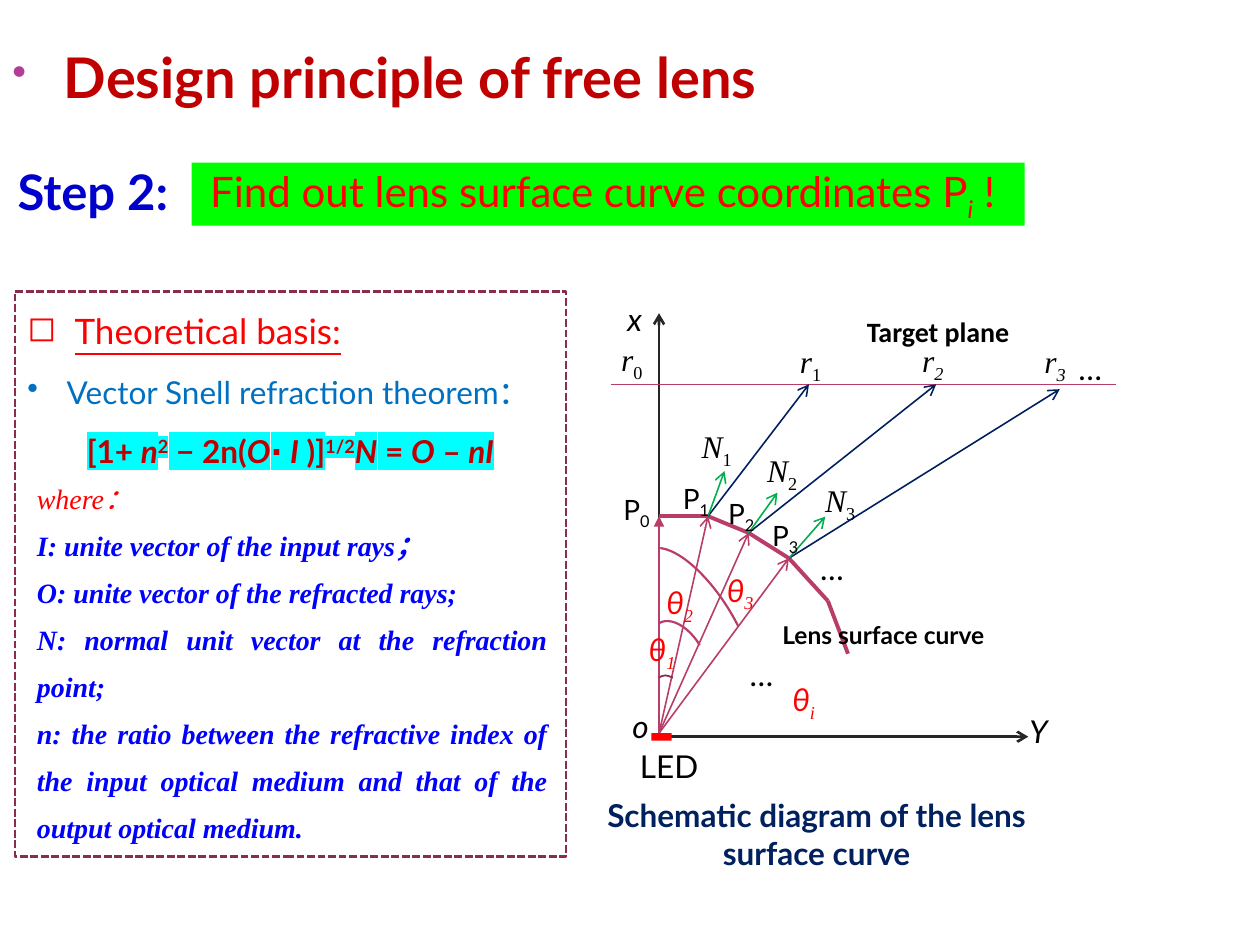
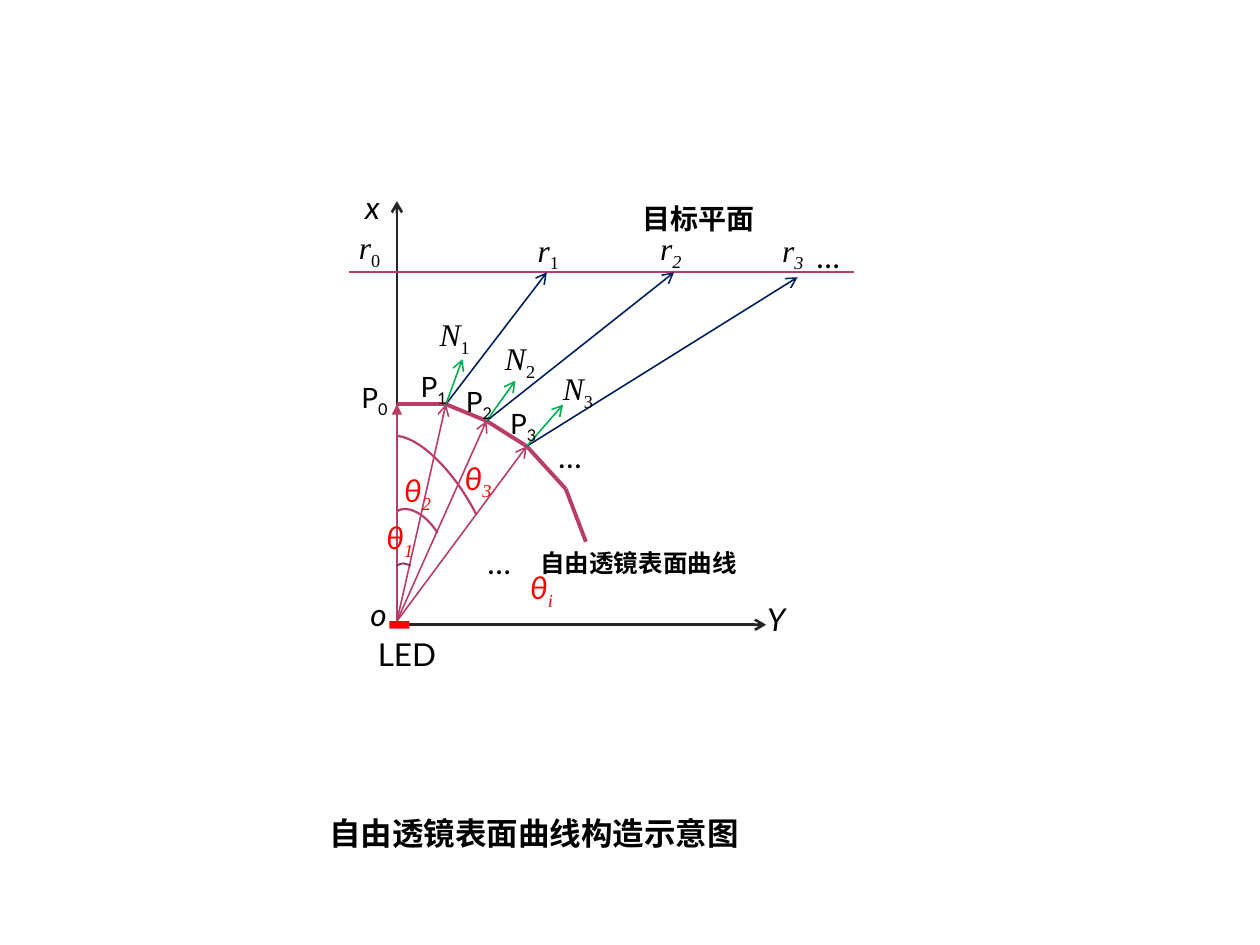
from lxml import etree
from pptx import Presentation
from pptx.dml.color import RGBColor
from pptx.enum.dml import MSO_LINE
from pptx.enum.shapes import MSO_CONNECTOR, MSO_SHAPE
from pptx.enum.text import MSO_ANCHOR, PP_ALIGN
from pptx.oxml.ns import qn
from pptx.util import Pt

RECTANGLE, ARC = MSO_SHAPE.RECTANGLE, MSO_SHAPE.ARC
STRAIGHT = MSO_CONNECTOR.STRAIGHT
SHORT_DASH = MSO_LINE.SQUARE_DOT
LEFT, CENTER, JUSTIFY = PP_ALIGN.LEFT, PP_ALIGN.CENTER, PP_ALIGN.JUSTIFY
MIDDLE = MSO_ANCHOR.MIDDLE

BLACK = RGBColor(0x00, 0x00, 0x00)
RED = RGBColor(0xFF, 0x00, 0x00)
DARK_RED = RGBColor(0xC0, 0x00, 0x00)
LIME = RGBColor(0x00, 0xFF, 0x00)
GREEN = RGBColor(0x00, 0xB0, 0x50)
CYAN = RGBColor(0x00, 0xFF, 0xFF)
BLUE = RGBColor(0x00, 0x00, 0xFF)
STEP_BLUE = RGBColor(0x00, 0x00, 0xCC)
SKY_BLUE = RGBColor(0x00, 0x70, 0xC0)
NAVY = RGBColor(0x00, 0x20, 0x60)
CHARCOAL = RGBColor(0x26, 0x26, 0x26)
PINK = RGBColor(0xB8, 0x3D, 0x68)
MAROON = RGBColor(0x88, 0x2D, 0x4D)
PURPLE = RGBColor(0xB1, 0x3F, 0x9A)
SANS, SERIF, CALIBRI = "Lato", "Times New Roman", "Calibri"


def write(frame, *runs, wrap=True, align=LEFT, line_spacing=None, before=None,
          margin=0, hanging=0, bullet=None, bullet_color=None, bullet_size=None,
          **format):
    """Add a paragraph; a run is a string or a (string, changed format) pair."""
    frame.word_wrap = wrap
    first = frame.paragraphs[0]
    paragraph = frame.add_paragraph() if first.runs else first
    properties = paragraph._p.get_or_add_pPr()
    properties.set("marL", str(Pt(margin)))
    properties.set("indent", str(-Pt(hanging)))
    if bullet_color:
        color = etree.SubElement(properties, qn("a:buClr"))
        etree.SubElement(color, qn("a:srgbClr"), val=str(bullet_color))
    if bullet_size:
        etree.SubElement(properties, qn("a:buSzPct"), val=str(bullet_size * 1000))
    if bullet:
        etree.SubElement(properties, qn("a:buChar"), char=bullet)
    paragraph.alignment = align
    if line_spacing:
        paragraph.line_spacing = line_spacing
    if before:
        paragraph.space_before = Pt(before)

    for item in runs:
        text, changes = (item, {}) if isinstance(item, str) else item
        look = {**format, **changes}
        run = paragraph.add_run()
        run.text = text
        font = run.font
        font.size = Pt(look["size"])
        font.bold = look.get("bold", False)
        font.italic = look.get("italic", False)
        font.underline = look.get("underline", False)
        font.color.rgb = look["color"]
        run_properties = run._r.get_or_add_rPr()
        if "highlight" in look:
            highlight = etree.SubElement(run_properties, qn("a:highlight"))
            etree.SubElement(highlight, qn("a:srgbClr"), val=str(look["highlight"]))
        if "baseline" in look:
            run_properties.set("baseline", str(look["baseline"] * 1000))
        font.name = look["font"]


def draw_line(slide, start, end, color, width=0.9, arrow=None):
    line = slide.shapes.add_connector(STRAIGHT, *map(Pt, (*start, *end)))
    line.line.color.rgb = color
    line.line.width = Pt(width)
    properties = line._element.spPr
    if arrow:
        etree.SubElement(properties.find(qn("a:ln")), qn("a:tailEnd"), type=arrow)
    etree.SubElement(properties, qn("a:effectLst"))


prs = Presentation()
prs.slide_width, prs.slide_height = Pt(720), Pt(540)
blank = prs.slide_layouts[6]
principle_slide = prs.slides.add_slide(blank)
chinese_slide = prs.slides.add_slide(blank)
shapes = principle_slide.shapes

# Title and step
title = shapes.add_textbox(Pt(0), Pt(21), Pt(570), Pt(41)).text_frame
write(title, " Design principle of free lens", font=SANS, size=32, color=DARK_RED,
      bold=True, margin=21.6, hanging=21.6, bullet="•", bullet_color=PURPLE,
      bullet_size=73)
step = shapes.add_textbox(Pt(3), Pt(88.5), Pt(247), Pt(41)).text_frame
write(step, "Step 2:", font=SANS, size=28, color=STEP_BLUE, bold=True)

# Goal banner
banner = shapes.add_shape(RECTANGLE, Pt(109.5), Pt(93), Pt(476), Pt(36))
banner.shadow.inherit = False
banner.fill.solid()
banner.fill.fore_color.rgb = LIME
banner.line.fill.background()
banner.text_frame.vertical_anchor = MIDDLE
write(banner.text_frame, "Find out lens surface curve coordinates P",
      ("i", dict(italic=True, baseline=-25)), " ! ",
      align=CENTER, font=SANS, size=24, color=RED)

# Theoretical basis
ITALIC = dict(italic=True)
SUPERSCRIPT = dict(baseline=30)
theory = shapes.add_textbox(Pt(8.5), Pt(173.5), Pt(315), Pt(99)).text_frame
write(theory, "Theoretical basis:", font=SANS, size=20, color=RED, underline=True,
      margin=27, hanging=27, bullet="◻")
write(theory, "Vector Snell refraction theorem：", font=SANS, size=18, color=SKY_BLUE,
      before=12, margin=22.5, hanging=22.5, bullet="•")
write(theory, "[1+ ", ("n", ITALIC), ("2", SUPERSCRIPT), " − 2n(", ("O", ITALIC), "⋅ ",
      ("I", ITALIC), " )]", ("1/2", SUPERSCRIPT), ("N", ITALIC), " = ", ("O", ITALIC),
      " – ", ("nI", ITALIC), font=SANS, size=18, color=DARK_RED, bold=True,
      highlight=CYAN, before=12, margin=34)

# Meaning of the symbols
definitions = shapes.add_textbox(Pt(14), Pt(264), Pt(306), Pt(224)).text_frame
DEFINITION = dict(align=JUSTIFY, line_spacing=1.4, font=SERIF, size=16, italic=True)
write(definitions, "where：", color=RED, **DEFINITION)
for meaning in (
    "I: unite vector of the input rays；",
    "O: unite vector of the refracted rays;",
    "N: normal unit vector at the refraction point;",
    "n: the ratio between the refractive index of the input optical medium "
    "and that of the output optical medium.",
):
    write(definitions, meaning, color=BLUE, bold=True, **DEFINITION)

theory_border = shapes.add_shape(RECTANGLE, Pt(8.5), Pt(166.5), Pt(315), Pt(323))
theory_border.shadow.inherit = False
theory_border.fill.background()
theory_border.line.color.rgb = MAROON
theory_border.line.width = Pt(1.5)
theory_border.line.dash_style = SHORT_DASH

# Lens diagram, in points from the light source
P0 = (0, -124)
LENS_CURVE = [P0, (28, -124), (51.2, -114.5), (74.2, -100), (96.5, -75.6), (108, -45.4)]
TARGETS = [(85.7, -199.4), (158.4, -199.4), (229, -196.6)]
NORMAL_TIPS = [(37.4, -149.8), (67.7, -137.5), (95, -123.8)]
SMALL_ANGLE = [(0, -31.7), (1.4, -32.6), (3.6, -33.1), (5.8, -32.6), (7.9, -31.7)]
ANGLE_ARCS = [((-1.4, -66.2, 26.6, 45.4), None),
              ((-0.7, -112.3, 44.6, 108.7), (166.43, 14.01))]

MATH = dict(font=SERIF, size=18, color=BLACK, italic=True)
AXIS = dict(font=SANS, size=18, color=BLACK, italic=True)
PLAIN = dict(font=SANS, size=18, color=BLACK)
POINT = dict(font=SANS, size=16, color=BLACK)
ANGLE = dict(font=SANS, size=18, color=RED, italic=True, wrap=False)
SUB = dict(baseline=-25)
UPRIGHT_SUB = dict(baseline=-25, italic=False)
SERIF_SUB = dict(baseline=-25, font=SERIF)

# Format, subscript format, box width, then text, subscript, left and top
LABELS = [
    (MATH, UPRIGHT_SUB, 47.5, [
        ("r", "0", -28.8, -228.2), ("r", "1", 73.4, -226.8),
        ("N", "1", 17.3, -178.6), ("N", "2", 54.7, -164.9), ("N", "3", 87.8, -147.6)]),
    (MATH, SUB, 31, [("r", "2", 143.3, -227.5), ("r", "3", 213.1, -226.8)]),
    (POINT, SUB, 41, [
        ("P", "0", -27.4, -141.1), ("P", "1", 6.5, -147.6),
        ("P", "2", 32.4, -139), ("P", "3", 57.6, -126)]),
    (ANGLE, SERIF_SUB, 31, [
        ("θ", "1", -13, -62.6), ("θ", "2", -2.9, -89.3),
        ("θ", "3", 31.7, -96.5), ("θ", "i", 69.1, -33.8)]),
    (PLAIN, SUB, 51, [
        ("…", "", 232.6, -223.2), ("…", "", 44.6, -48.2), ("…", "", 85, -108.7)]),
    (PLAIN, SUB, 75.6, [("LED", "", -18, 4.3)]),
    (AXIS, SUB, 65.5, [
        ("o", "", -22.3, -18.7), ("x", "", -25.2, -251.3), ("Y", "", 204.5, -15.8)]),
]

# Slide, light source, then text and box of plane, curve and caption, caption colour
DIAGRAMS = [
    (principle_slide, (376.6, 419),
     ("Target plane", (111.6, -242.6, 147.6, 26.6)),
     ("Lens surface curve", (63.4, -68.4, 141.8, 24.5)),
     ("Schematic diagram of the lens surface curve", (-44.6, 32.4, 269.3, 51)), NAVY),
    (chinese_slide, (226.8, 355),
     ("目标平面", (133.2, -243.4, 147.6, 26.6)),
     ("自由透镜表面曲线", (74.9, -45.4, 141.8, 24.5)),
     ("自由透镜表面曲线构造示意图", (-56.2, 106.5, 269.3, 29)), BLACK),
]

for slide, (left, top), plane, curve, caption, caption_color in DIAGRAMS:
    # Axes, central ray and target plane
    for start, end, color, width, arrow in (
        ((-4, 2), (211, 2), CHARCOAL, 1.5, "arrow"),
        ((0, 0.5), (0, -240), CHARCOAL, 1.5, "arrow"),
        ((0, 0), P0, PINK, 0.9, "triangle"),
        ((-27.4, -199.4), (261.4, -199.4), PINK, 0.9, None),
    ):
        draw_line(slide, (left + start[0], top + start[1]),
                  (left + end[0], top + end[1]), color, width, arrow)

    # Lens curve, then input ray, refracted ray and normal at each point
    lens = [(left + x, top + y) for x, y in LENS_CURVE]
    for start, end in zip(lens, lens[1:]):
        draw_line(slide, start, end, PINK, 2.25)
    for point, target, tip in zip(lens[1:4], TARGETS, NORMAL_TIPS):
        draw_line(slide, (left, top), point, PINK, arrow="arrow")
        for (x, y), color in ((target, NAVY), (tip, GREEN)):
            draw_line(slide, point, (left + x, top + y), color, arrow="arrow")

    # Angle marks
    mark = [(Pt(left + x), Pt(top + y)) for x, y in SMALL_ANGLE]
    outline = slide.shapes.build_freeform(*mark[0])
    outline.add_line_segments(mark[1:], close=False)
    small_angle = outline.convert_to_shape()
    small_angle.shadow.inherit = False
    small_angle.fill.background()
    small_angle.line.color.rgb = MAROON
    small_angle.line.width = Pt(1)
    for (x, y, width, height), limits in ANGLE_ARCS:
        arc = slide.shapes.add_shape(ARC, *map(Pt, (left + x, top + y, width, height)))
        arc.shadow.inherit = False
        arc.rotation = 329
        if limits:
            arc.adjustments[0], arc.adjustments[1] = limits
        arc.fill.background()
        arc.line.color.rgb = PINK
        arc.line.width = Pt(1.25)

    # Light source
    led = slide.shapes.add_shape(RECTANGLE, Pt(left - 4.3), Pt(top), Pt(11.5), Pt(4.3))
    led.shadow.inherit = False
    led.fill.solid()
    led.fill.fore_color.rgb = RED
    led.line.fill.background()

    # Symbols
    for look, sub_look, width, symbols in LABELS:
        for symbol, sub, x, y in symbols:
            box = slide.shapes.add_textbox(
                *map(Pt, (left + x, top + y, width, look["size"] * 1.6)))
            runs = [symbol, (sub, sub_look)] if sub else [symbol]
            write(box.text_frame, *runs, **look)

    # Names and caption
    for (text, (x, y, width, height)), look in (
        (plane, dict(font=CALIBRI, size=16, color=BLACK)),
        (curve, dict(font=SANS, size=14, color=BLACK)),
        (caption, dict(font=SANS, size=18, color=caption_color, align=CENTER)),
    ):
        box = slide.shapes.add_textbox(*map(Pt, (left + x, top + y, width, height)))
        write(box.text_frame, text, bold=True, **look)

prs.save("out.pptx")
